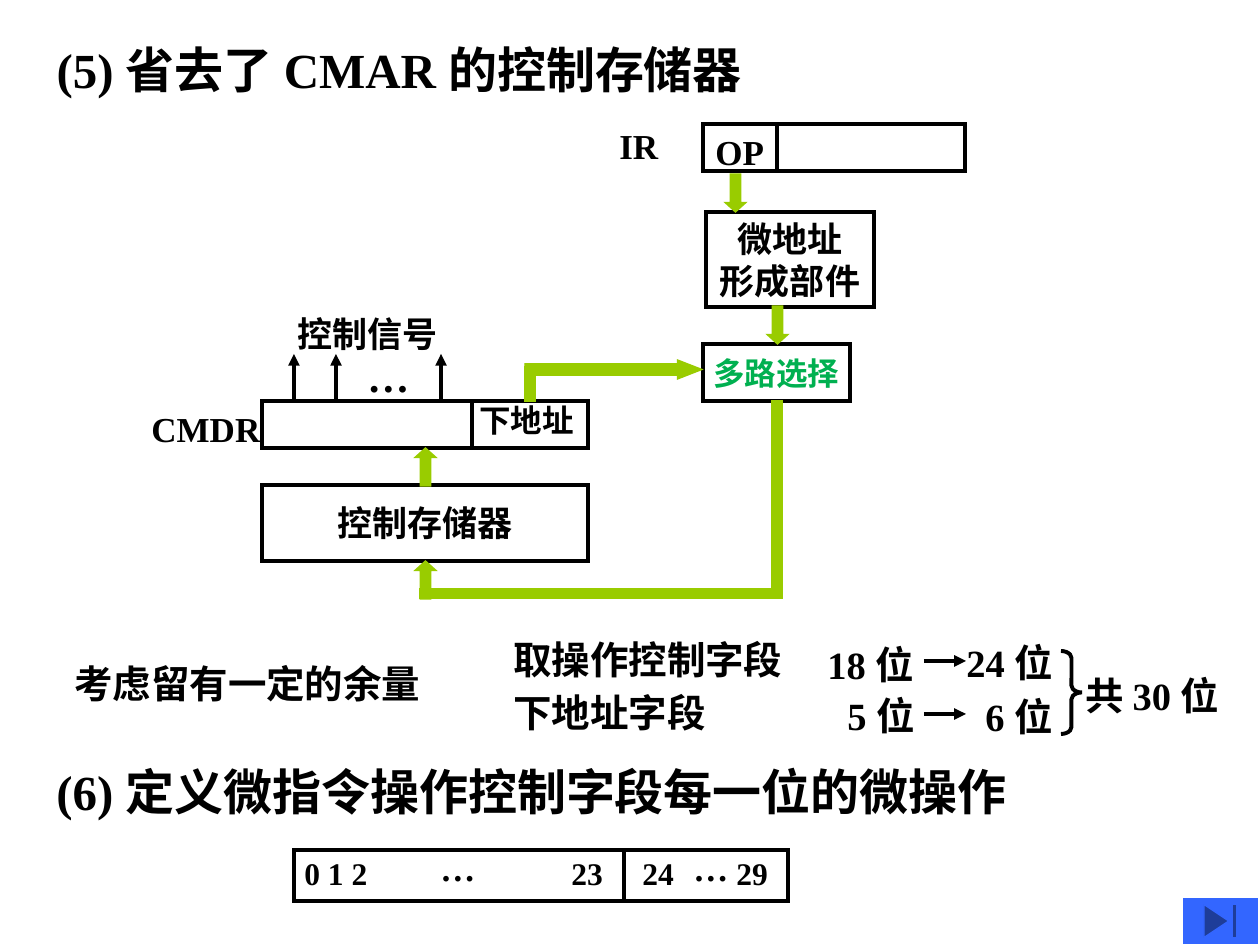
from pptx import Presentation
from pptx.dml.color import RGBColor
from pptx.enum.shapes import MSO_CONNECTOR, MSO_SHAPE
from pptx.enum.text import MSO_ANCHOR, MSO_AUTO_SIZE, PP_ALIGN
from pptx.oxml.ns import qn
from pptx.util import Emu, Pt
from lxml import etree

RECT = MSO_SHAPE.RECTANGLE
UP, DOWN, RIGHT = MSO_SHAPE.UP_ARROW, MSO_SHAPE.DOWN_ARROW, MSO_SHAPE.RIGHT_ARROW
BRACE, END_BUTTON = MSO_SHAPE.RIGHT_BRACE, MSO_SHAPE.ACTION_BUTTON_END
STRAIGHT = MSO_CONNECTOR.STRAIGHT
LEFT, CENTER = PP_ALIGN.LEFT, PP_ALIGN.CENTER
TOP, MIDDLE = MSO_ANCHOR.TOP, MSO_ANCHOR.MIDDLE
FIT_SHAPE, NO_FIT = MSO_AUTO_SIZE.SHAPE_TO_FIT_TEXT, MSO_AUTO_SIZE.NONE

FONT = "Times New Roman"
COLORS = {"ink": "000000", "flow": "99CC00", "selector": "00B050", "button": "3366FF"}


def px(value):
    return Emu(round(value * 914400 / 126))


def color(name):
    return RGBColor.from_string(COLORS[name])


def write(shape, text, size, tint="ink", align=LEFT):
    frame = shape.text_frame
    frame.text = text
    for para in frame.paragraphs:
        para.alignment = align
        for span in para.runs:
            span.font.name = FONT
            span.font.size = Pt(size)
            span.font.bold = True
            span.font.color.rgb = color(tint)


def add_label(page, left, top, width, height, text, size):
    box = page.shapes.add_textbox(px(left), px(top), px(width), px(height))
    box.text_frame.word_wrap = False
    box.text_frame.auto_size = FIT_SHAPE
    box.text_frame.margin_right = 0
    write(box, text, size)
    return box


def add_shape(page, kind, left, top, width, height, fill=None, line="ink", weight=2.25):
    shape = page.shapes.add_shape(kind, px(left), px(top), px(width), px(height))
    shape.shadow.inherit = False
    if fill:
        shape.fill.solid()
        shape.fill.fore_color.rgb = color(fill)
    else:
        shape.fill.background()
    shape.line.color.rgb = color(line)
    shape.line.width = Pt(weight)
    etree.SubElement(shape.line._get_or_add_ln(), qn("a:miter"), lim="800000")
    return shape


def add_block(page, left, top, width, height, text="", size=20, tint="ink"):
    block = add_shape(page, RECT, left, top, width, height)
    if text:
        block.text_frame.word_wrap = False
        block.text_frame.vertical_anchor = MIDDLE
        write(block, text, size, tint, CENTER)


def add_flow(page, kind, left, top, width, height, *adjustments):
    flow = add_shape(page, kind, left, top, width, height, "flow", "flow", 0.75)
    for index, value in enumerate(adjustments):
        flow.adjustments[index] = value


def add_line(page, x1, y1, x2, y2, arrow=False):
    line = page.shapes.add_connector(STRAIGHT, px(x1), px(y1), px(x2), px(y2))
    line.line.color.rgb = color("ink")
    line.line.width = Pt(2.25)
    if arrow:
        etree.SubElement(line.line._get_or_add_ln(), qn("a:tailEnd"), type="triangle")
    etree.SubElement(line._element.spPr, qn("a:effectLst"))


def build_title(page, left, top, width, height):
    title = page.shapes.title
    title.left, title.top, title.width, title.height = map(px, (left, top, width, height))
    frame = title.text_frame
    frame.word_wrap = True
    frame.auto_size = NO_FIT
    frame.vertical_anchor = TOP
    write(title, "(5) 省去了 CMAR 的控制存储器", 28)


def build_address_path(page, left, top):
    add_block(page, left, top, 262, 47)
    add_line(page, left + 74, top, left + 74, top + 47)
    add_label(page, left, top, 73, 55, "OP", 20)
    add_label(page, left - 96, top - 6, 64, 55, "IR", 20)
    add_block(page, left + 3, top + 88, 168, 95, "微地址\n形成部件")
    add_block(page, left, top + 220, 147, 57, "多路选择", 18, "selector")
    for x, y in ((22, 50), (64, 182)):
        add_flow(page, DOWN, left + x, top + y, 21, 38, 0.5, 0.45)


def build_control_memory(page, left, top):
    add_block(page, left, top, 326, 47)
    add_line(page, left + 210, top, left + 210, top + 47)
    add_label(page, left - 123, top, 134, 55, "CMDR", 20)
    add_label(page, left + 205, top - 6, 120, 50, "下地址", 18)
    add_block(page, left, top + 84, 326, 76, "控制存储器")
    add_label(page, left + 23, top - 95, 170, 55, "控制信号", 20)
    add_label(page, left + 93, top - 57, 67, 63, "…", 24)
    for x in (32, 74, 179):
        add_line(page, left + x, top, left + x, top - 47, arrow=True)
    for y in (47, 160):
        add_flow(page, UP, left + 153, top + y, 21, 38, 0.5, 0.45)
    for x, y, width, height in ((158, 188, 357, 9), (510, 0, 10, 197), (263, -34, 10, 34)):
        add_flow(page, RECT, left + x, top + y, width, height)
    add_flow(page, RIGHT, left + 263, top - 41, 177, 19, 0.61, 1.28)


def build_field_widths(page, left, top):
    labels = (
        (0, 24, 462, "考虑留有一定的余量"),
        (439, 0, 300, "取操作控制字段"),
        (439, 53, 220, "下地址字段"),
        (753, 5, 125, "18 位"),
        (773, 56, 110, "5 位"),
        (892, 3, 125, "24 位"),
        (911, 57, 110, "6 位"),
        (1011, 36, 185, "共 30 位"),
    )
    for x, y, width, text in labels:
        add_label(page, left + x, top + y, width, 59, text, 22)
    for y in (31, 84):
        add_line(page, left + 862, top + y, left + 904, top + y, arrow=True)
    brace = add_shape(page, BRACE, left + 999, top + 21, 21, 83)
    brace.adjustments[0] = 0.33


def build_bit_strip(page, left, top, width, height):
    add_block(page, left, top, width, height)
    add_line(page, left + 330, top, left + 330, top + height)
    bits = add_label(page, left - 2, top - 2, width, 50, "0 1 2\t23\t24\t29", 18)
    bits.text_frame.word_wrap = True
    properties = bits.text_frame.paragraphs[0]._p.get_or_add_pPr()
    stops = etree.SubElement(properties, qn("a:tabLst"))
    for stop in (267, 338, 432):
        etree.SubElement(stops, qn("a:tab"), pos=str(px(stop)), algn="l")
    for x in (134, 387):
        add_label(page, left + x, top - 10, 60, 55, "…", 20)


def main():
    deck = Presentation()
    deck.slide_width, deck.slide_height = px(1260), px(945)
    page = deck.slides.add_slide(deck.slide_layouts[5])
    build_title(page, 44, 33, 838, 72)
    build_address_path(page, 703, 124)
    build_control_memory(page, 262, 401)
    build_field_widths(page, 62, 630)
    add_label(page, 44, 755, 1068, 72, "(6) 定义微指令操作控制字段每一位的微操作", 28)
    build_bit_strip(page, 294, 850, 494, 51)
    add_shape(page, END_BUTTON, 1184, 899, 73, 44, "button", "button", 0.75)
    deck.save("out.pptx")


if __name__ == "__main__":
    main()
